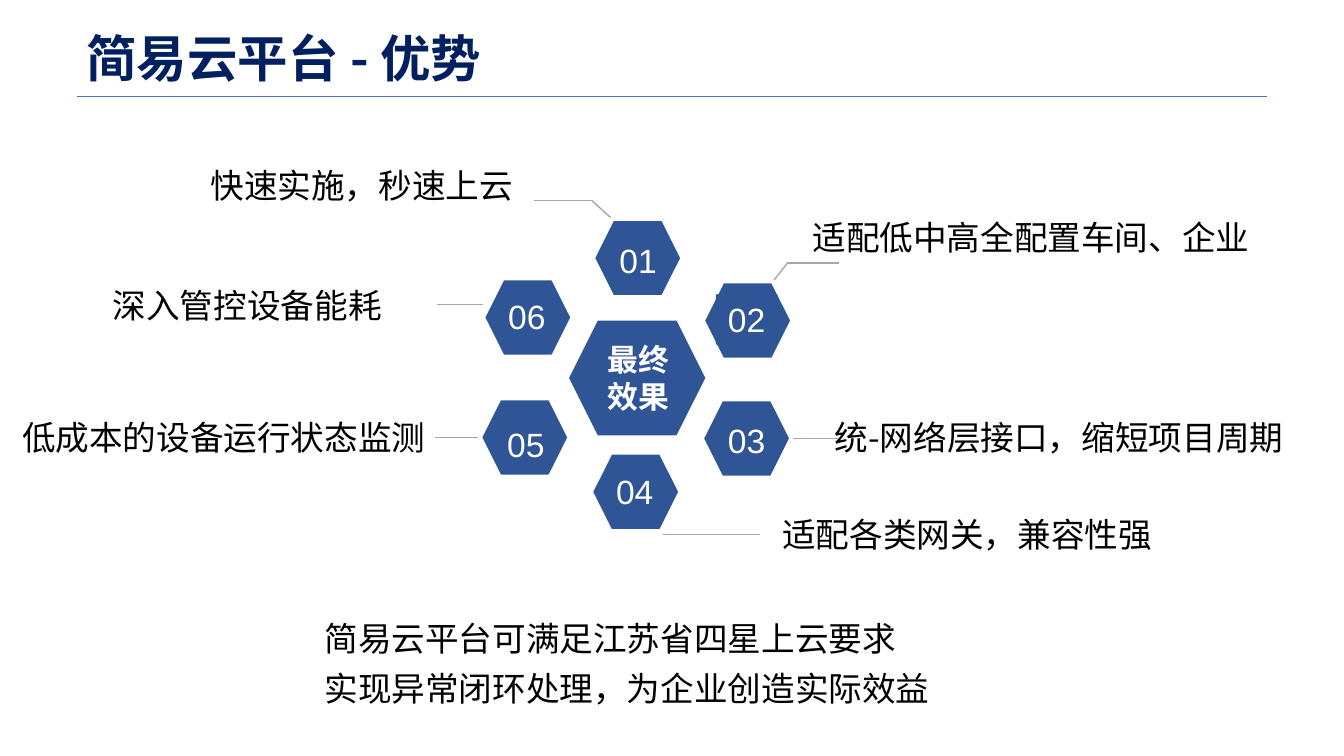
"""Builds a slide of six numbered advantages around a central hexagon."""
from pptx import Presentation
from pptx import util as u
from pptx.dml import color
from pptx.enum import shapes, text
from pptx.oxml import ns
from lxml import etree

PX = 9144
HUE = {"navy": "002060", "blue": "2F5597", "rule": "4472C4",
       "grey": "A6A6A6", "white": "FFFFFF", "black": "000000"}
RGB = {name: color.RGBColor.from_string(code) for name, code in HUE.items()}
CJK = "Noto Sans CJK SC"
HEAD = {"size": u.Pt(36), "bold": True, "name": CJK}
CORE = {"size": u.Pt(22), "bold": True, "name": CJK}
BODY = {"size": u.Pt(24), "name": CJK}
NUM = {"size": u.Pt(24), "name": "Arial"}

deck = Presentation()
deck.slide_width, deck.slide_height = 1333 * PX, 750 * PX
slide = deck.slides.add_slide(deck.slide_layouts[6])
items = slide.shapes


def draw(kind, box, fill, edge=None):
    shape = items.add_shape(kind, *[n * PX for n in box])
    shape.shadow.inherit = False
    shape.fill.solid()
    shape.fill.fore_color.rgb = RGB[fill]
    if edge:
        shape.line.color.rgb = RGB[edge]
        shape.line.width = u.Pt(3)
    else:
        shape.line.fill.background()
    return shape


def write(words, box, style, hue, lead=None, mid=False, fill=None):
    if fill:
        shape = draw(shapes.MSO_SHAPE.RECTANGLE, box, fill)
    else:
        shape = items.add_textbox(*[n * PX for n in box])
    frame = shape.text_frame
    frame.word_wrap = True
    frame.vertical_anchor = text.MSO_ANCHOR.TOP
    para = frame.paragraphs[0]
    para.alignment = text.PP_ALIGN.CENTER if mid else text.PP_ALIGN.LEFT
    if lead:
        para.line_spacing = lead
    run = para.add_run()
    run.text = words
    for key, value in style.items():
        setattr(run.font, key, value)
    run.font.color.rgb = RGB[hue]
    east = etree.SubElement(run.font._element, ns.qn("a:ea"))
    east.set("typeface", style["name"])
    return frame


title = write("简易云平台 - 优势", (76, 14, 1181, 93), HEAD, "navy", 0.9)
title.vertical_anchor = text.MSO_ANCHOR.MIDDLE

lines = [
    (76, 96, 1257, 96, "rule", 0.5),
    (831, 435, 785, 435, "grey", 1),
    (658, 530, 754, 530, "grey", 1),
    (476, 434, 431, 434, "grey", 1),
    (479, 302, 433, 302, "grey", 1),
    (608, 218, 587, 199, "grey", 1),
    (587, 199, 530, 199, "grey", 1),
    (766, 280, 781, 261, "grey", 1),
    (781, 261, 832, 261, "grey", 1),
]
for *ends, hue, width in lines:
    line = items.add_connector(shapes.MSO_CONNECTOR.STRAIGHT,
                               *[n * PX for n in ends])
    line.line.color.rgb = RGB[hue]
    line.line.width = u.Pt(width)
    etree.SubElement(line._element.spPr, ns.qn("a:effectLst"))

HEX = shapes.MSO_SHAPE.HEXAGON
steps = [
    ("02", 697, 279, (710, 292, 61, 50), None, "blue"),
    ("01", 588, 217, (600, 225, 66, 54), 1.2, None),
    ("03", 696, 396, (706, 404, 69, 54), 1.2, None),
    ("05", 476, 395, (491, 408, 61, 54), 1.2, None),
    ("06", 479, 276, (492, 289, 61, 50), None, None),
    ("04", 586, 449, (599, 462, 61, 50), None, None),
]
for num, x, y, box, lead, fill in steps:
    draw(HEX, (x, y, 89, 78), "blue", "white")
    write(num, box, NUM, "white", lead, True, fill)

draw(HEX, (562, 316, 140, 118), "blue", "white")
write("最终效果", (590, 334, 86, 84), CORE, "white", u.Pt(26), True, "blue")

notes = [
    ("适配低中高全配置车间、企业", 796, 210, 488),
    ("快速实施，秒速上云", 199, 159, 514),
    ("低成本的设备运行状态监测", 12, 409, 435),
    ("统-网络层接口，缩短项目周期", 818, 409, 537),
    ("适配各类网关，兼容性强", 766, 505, 436),
    ("深入管控设备能耗", 102, 278, 378),
    ("简易云平台可满足江苏省四星上云要求", 312, 608, 731),
    ("实现异常闭环处理，为企业创造实际效益", 312, 658, 635),
]
for words, x, y, width in notes:
    write(words, (x, y, width, 50), BODY, "black")

deck.save("out.pptx")
